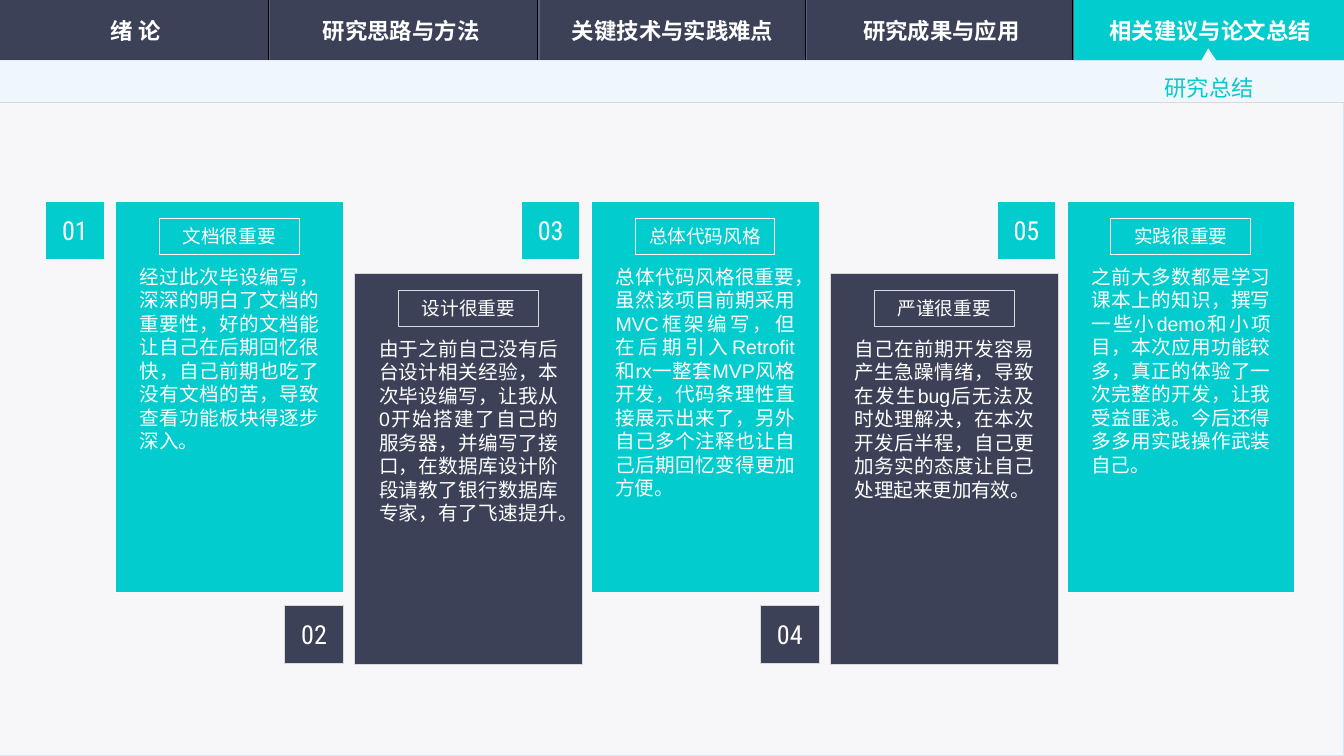
from dataclasses import dataclass

from lxml import etree
from pptx import Presentation
from pptx.dml.color import RGBColor as Color
from pptx.enum.lang import MSO_LANGUAGE_ID as Language
from pptx.enum.shapes import MSO_CONNECTOR as Connector, MSO_SHAPE as Preset
from pptx.enum.text import MSO_ANCHOR as Anchor, MSO_AUTO_SIZE as AutoSize, PP_ALIGN as Align
from pptx.oxml.ns import qn
from pptx.util import Inches, Pt


@dataclass(frozen=True)
class Theme:
    teal: str = "03CCCE"
    navy: str = "3C4157"
    slate: str = "3B445B"
    paper: str = "F7F7F9"
    paper_edge: str = "D4E7F9"
    ribbon: str = "EFF6FC"
    rule: str = "D9D9D9"
    groove: str = "596181"
    black: str = "000000"
    white: str = "FFFFFF"
    heading_font: str = "Noto Sans CJK SC"
    label_font: str = "Roboto Condensed"
    body_font: str = "Arial"
    heading_size: float = 12
    number_size: float = 14
    label_size: float = 10
    body_size: float = 10.5
    hairline: float = 0.5


THEME = Theme()
COLUMNS, ROWS = 100, 56.25
BAR_HEIGHT, RIBBON_BOTTOM = 4.5, 7.6
TAB_LEFTS = (0.15, 19.9, 40.1, 60.1, 80.1)
FIRST_CARD, CARD_PITCH, CARD_WIDTH, CARD_HEIGHT = 8.6, 17.7, 16.95, 29.1
UPPER_ROW, LOWER_ROW, LOWER_BADGE_ROW, LOWER_SHIFT = 15, 20.35, 45.05, 0.1

TABS = ["绪 论", "研究思路与方法", "关键技术与实践难点", "研究成果与应用", "相关建议与论文总结"]
LESSONS = [
    ("文档很重要", "经过此次毕设编写，深深的明白了文档的重要性，好的文档能让自己在后期回忆很快，自己前期也吃了没有文档的苦，导致查看功能板块得逐步深入。", 14.1),
    ("设计很重要", "由于之前自己没有后台设计相关经验，本次毕设编写，让我从0开始搭建了自己的服务器，并编写了接口，在数据库设计阶段请教了银行数据库专家，有了飞速提升。", 14.1),
    ("总体代码风格", "总体代码风格很重要，虽然该项目前期采用MVC框架编写，但在后期引入Retrofit和rx一整套MVP风格开发，代码条理性直接展示出来了，另外自己多个注释也让自己后期回忆变得更加方便。", 17.7),
    ("严谨很重要", "自己在前期开发容易产生急躁情绪，导致在发生bug后无法及时处理解决，在本次开发后半程，自己更加务实的态度让自己处理起来更加有效。", 12.4),
    ("实践很重要", "之前大多数都是学习课本上的知识，撰写一些小demo和小项目，本次应用功能较多，真正的体验了一次完整的开发，让我受益匪浅。今后还得多多用实践操作武装自己。", 15.9),
]


def grid(*units):
    return [Inches(unit / 10) for unit in units]


def write(box, text, font, size, color, align=Align.CENTER, bold=False):
    para = box.text_frame.paragraphs[0]
    para.alignment = align
    span = para.add_run()
    span.text = text
    span.font.name = font
    span.font.size = Pt(size)
    span.font.bold = bold
    span.font.color.rgb = Color.from_string(color)
    span.font.language_id = Language.SIMPLIFIED_CHINESE
    latin = span.font._element.find(qn("a:latin"))
    latin.addnext(latin.makeelement(qn("a:ea"), {"typeface": font}))
    return para


def clear_margins(frame):
    frame.margin_left = frame.margin_right = frame.margin_top = frame.margin_bottom = 0


def paint(shape, fill=None, line=None):
    if fill:
        shape.fill.solid()
        shape.fill.fore_color.rgb = Color.from_string(fill)
    else:
        shape.fill.background()
    if line:
        shape.line.color.rgb = Color.from_string(line)
        shape.line.width = Pt(THEME.hairline)
    else:
        shape.line.fill.background()
    shape.shadow.inherit = False
    return shape


def add_block(page, place, fill=None, line=None, preset=Preset.ROUNDED_RECTANGLE):
    block = page.shapes.add_shape(preset, *grid(*place))
    if preset == Preset.ROUNDED_RECTANGLE:
        block.adjustments[0] = 0
    frame = block.text_frame
    frame.vertical_anchor = Anchor.MIDDLE
    frame.word_wrap = True
    clear_margins(frame)
    return paint(block, fill, line)


def add_rule(page, start, end, color, width=THEME.hairline):
    rule = page.shapes.add_connector(Connector.STRAIGHT, *grid(*start, *end))
    rule.line.color.rgb = Color.from_string(color)
    rule.line.width = Pt(width)
    etree.SubElement(rule._element.spPr, qn("a:effectLst"))


def add_glow(shape):
    effects = shape._element.spPr.find(qn("a:effectLst"))
    shadow = etree.SubElement(effects, qn("a:outerShdw"), blurRad=str(Pt(3)), dist="0", dir="16200000")
    tone = etree.SubElement(shadow, qn("a:srgbClr"), val=THEME.black)
    etree.SubElement(tone, qn("a:alpha"), val="20000")


def add_ribbon(page):
    outline = [(90.5, BAR_HEIGHT), (COLUMNS, BAR_HEIGHT), (COLUMNS, RIBBON_BOTTOM),
               (0, RIBBON_BOTTOM), (0, BAR_HEIGHT), (89.4, BAR_HEIGHT)]
    builder = page.shapes.build_freeform(*grid(89.9, 3.6), scale=1.0)
    builder.add_line_segments([grid(*point) for point in outline], close=True)
    paint(builder.convert_to_shape(), THEME.ribbon)
    add_rule(page, (0, RIBBON_BOTTOM), (COLUMNS, RIBBON_BOTTOM), THEME.rule)


def add_frame(page):
    fill = page.background.fill
    fill.gradient()
    fill.gradient_angle = 45
    for stop, color in zip(fill.gradient_stops, (THEME.teal, THEME.slate)):
        stop.color.rgb = Color.from_string(color)
    add_block(page, (0, 0, COLUMNS, BAR_HEIGHT), THEME.navy, preset=Preset.RECTANGLE)
    add_block(page, (0, BAR_HEIGHT, COLUMNS, ROWS - BAR_HEIGHT), THEME.paper,
              THEME.paper_edge, Preset.RECTANGLE)
    for column in (19.95, 40, 59.9, 79.8):
        add_rule(page, (column, 0), (column, BAR_HEIGHT), THEME.black)
        add_rule(page, (column + 0.1, 0), (column + 0.1, BAR_HEIGHT), THEME.groove, 0.75)
    active = add_block(page, (79.9, 0, 20.1, BAR_HEIGHT), THEME.teal, preset=Preset.RECTANGLE)
    add_glow(active)
    add_ribbon(page)


def add_tabs(page):
    for left, name in zip(TAB_LEFTS, TABS):
        tab = add_block(page, (left, 0.7, 19.9, 3.1))
        write(tab, name, THEME.heading_font, THEME.heading_size, THEME.white, bold=True)


def add_title(page, text):
    title = page.shapes.title
    title.left, title.top, title.width, title.height = grid(85.65, 4.15, 8.8, 3.7)
    title.element.getparent().append(title.element)
    frame = title.text_frame
    frame.auto_size = AutoSize.SHAPE_TO_FIT_TEXT
    frame.word_wrap = False
    frame.vertical_anchor = Anchor.MIDDLE
    para = write(title, text, THEME.heading_font, THEME.heading_size, THEME.teal, Align.LEFT)
    para.line_spacing = 1.5


def add_passage(page, place, text):
    box = page.shapes.add_textbox(*grid(*place))
    frame = box.text_frame
    frame.word_wrap = True
    frame.auto_size = AutoSize.SHAPE_TO_FIT_TEXT
    clear_margins(frame)
    write(box, text, THEME.body_font, THEME.body_size, THEME.white, Align.JUSTIFY)


def add_lesson(page, index, label, passage, passage_height):
    lowered = index % 2 == 1
    left = FIRST_CARD + index * CARD_PITCH + lowered * LOWER_SHIFT
    top = LOWER_ROW if lowered else UPPER_ROW
    badge_top = LOWER_BADGE_ROW if lowered else UPPER_ROW
    colors = (THEME.navy, THEME.rule) if lowered else (THEME.teal, THEME.white)
    add_block(page, (left, top, CARD_WIDTH, CARD_HEIGHT), *colors)
    add_passage(page, (left + 1.8, top + 4.7, 13.35, passage_height), passage)
    heading = add_block(page, (left + 3.25, top + 1.25, 10.4, 2.7), *colors)
    write(heading, label, THEME.label_font, THEME.label_size, THEME.white)
    badge = add_block(page, (left - 5.2, badge_top, 4.35, 4.3), *colors)
    write(badge, f"{index + 1:02}", THEME.label_font, THEME.number_size, THEME.white)


def main():
    deck = Presentation()
    deck.slide_width, deck.slide_height = grid(COLUMNS, ROWS)
    page = deck.slides.add_slide(deck.slide_layouts.get_by_name("Title Only"))
    add_frame(page)
    for index, lesson in enumerate(LESSONS):
        add_lesson(page, index, *lesson)
    add_tabs(page)
    add_title(page, "研究总结")
    deck.save("out.pptx")


if __name__ == "__main__":
    main()
